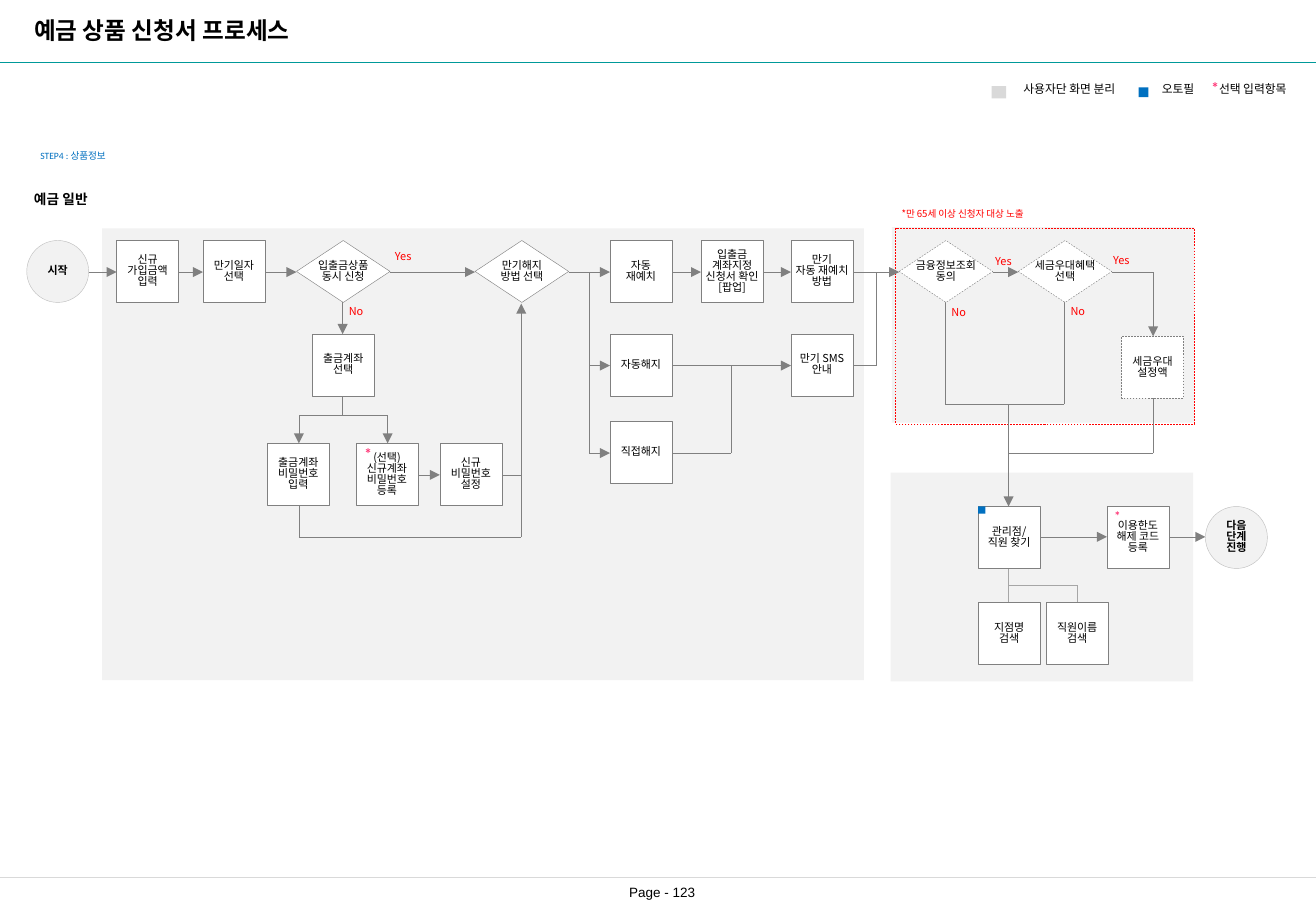
from lxml import etree
from pptx import Presentation
from pptx.dml.color import RGBColor
from pptx.enum.dml import MSO_LINE
from pptx.enum.shapes import MSO_CONNECTOR, MSO_SHAPE
from pptx.enum.text import MSO_ANCHOR, MSO_AUTO_SIZE, PP_ALIGN
from pptx.oxml.ns import qn
from pptx.util import Pt

PX = 9144
SIDE = 51
RECT = MSO_SHAPE.RECTANGLE
OVAL = MSO_SHAPE.OVAL
CHOICE = MSO_SHAPE.FLOWCHART_DECISION
DIAMOND = MSO_SHAPE.DIAMOND
DASH = MSO_LINE.DASH
STRAIGHT = MSO_CONNECTOR.STRAIGHT
LEFT, CENTER = PP_ALIGN.LEFT, PP_ALIGN.CENTER
MIDDLE = MSO_ANCHOR.MIDDLE
FIXED = MSO_AUTO_SIZE.NONE

BLACK = RGBColor(0x00, 0x00, 0x00)
WHITE = RGBColor(0xFF, 0xFF, 0xFF)
PALE = RGBColor(0xF2, 0xF2, 0xF2)
SILVER = RGBColor(0xD9, 0xD9, 0xD9)
RIM = RGBColor(0xBF, 0xBF, 0xBF)
LIGHT = RGBColor(0xA6, 0xA6, 0xA6)
GRAY = RGBColor(0x80, 0x80, 0x80)
TEAL = RGBColor(0x00, 0x99, 0x99)
BLUE = RGBColor(0x00, 0x70, 0xC0)
RED = RGBColor(0xFF, 0x00, 0x00)
PINK = RGBColor(0xFF, 0x38, 0x78)

NOTO, CALIBRI, ARIAL = "Noto Sans CJK KR", "Calibri", "Arial"


class Board:
    def __init__(self, slide):
        self.slide = slide
        self.shapes = slide.shapes

    def scale(self, *sizes):
        return [size * PX for size in sizes]

    def frame(self, shape, wrap):
        frame = shape.text_frame
        frame.auto_size = FIXED
        frame.word_wrap = wrap
        frame.vertical_anchor = MIDDLE
        frame.margin_left = frame.margin_right = 0
        frame.margin_top = frame.margin_bottom = 0
        return frame

    def run(self, para, text, size=6.5, color=BLACK, font=NOTO, bold=False):
        run = para.add_run()
        run.text = text
        run.font.size = Pt(size)
        run.font.bold = bold
        run.font.color.rgb = color
        run.font.name = font
        east = etree.SubElement(run.font._element, qn("a:ea"))
        east.set("typeface", NOTO)

    def align(self, para, side):
        para.alignment = side
        para.line_spacing = 0.84

    def title(self, x, y, w, h, text):
        shape = self.shapes.title
        shape.left, shape.top, shape.width, shape.height = self.scale(x, y, w, h)
        para = self.frame(shape, True).paragraphs[0]
        self.align(para, LEFT)
        self.run(para, text, size=14, bold=True)

    def label(self, x, y, w, h, runs, side=LEFT):
        shape = self.shapes.add_textbox(*self.scale(x, y, w, h))
        para = self.frame(shape, True).paragraphs[0]
        self.align(para, side)
        for text, style in runs:
            self.run(para, text, **style)

    def block(self, x, y, w, h, fill=None, line=None, kind=RECT, dash=None):
        shape = self.shapes.add_shape(kind, *self.scale(x, y, w, h))
        shape.shadow.inherit = False
        if fill is None:
            shape.fill.background()
        else:
            shape.fill.solid()
            shape.fill.fore_color.rgb = fill
        if line is None:
            shape.line.fill.background()
        else:
            shape.line.color.rgb = line
            shape.line.width = Pt(0.25)
            if dash:
                shape.line.dash_style = dash
        return shape

    def node(self, x, y, text, w=SIDE, fill=WHITE, line=GRAY, kind=RECT,
             dash=None, bold=False):
        shape = self.block(x, y, w, SIDE, fill, line, kind, dash)
        frame = self.frame(shape, False)
        for i, part in enumerate(text.split("\n")):
            para = frame.add_paragraph() if i else frame.paragraphs[0]
            self.align(para, CENTER)
            self.run(para, part, bold=bold)

    def route(self, points, arrow=True, color=GRAY, width=0.25):
        for start, end in zip(points, points[1:]):
            link = self.shapes.add_connector(STRAIGHT, *self.scale(*start, *end))
            link.line.color.rgb = color
            link.line.width = Pt(width)
            if arrow and end == points[-1]:
                tail = etree.SubElement(link.line._get_or_add_ln(), qn("a:tailEnd"))
                tail.set("type", "triangle")
            etree.SubElement(link._element.spPr, qn("a:effectLst"))


def main():
    deck = Presentation()
    deck.slide_width, deck.slide_height = 1083 * PX, 750 * PX
    board = Board(deck.slides.add_slide(deck.slide_layouts[5]))

    board.title(28, 10, 864, 34, "예금 상품 신청서 프로세스")
    board.route([(0, 51), (1083, 51)], False, TEAL)
    board.route([(0, 722), (1083, 722)], False, SILVER, 0.5)
    board.label(495, 728, 100, 16, [("Page - 123", dict(size=8, font=ARIAL))], CENTER)

    for area in [(84, 188, 627, 372), (734, 187, 249, 161), (733, 389, 249, 172)]:
        board.block(*area, fill=PALE)
    board.block(737, 188, 246, 161, line=RED, dash=DASH)

    rows = {
        224: [(73, 96), (147, 167), (218, 244), (321, 391), (468, 502),
              (553, 577), (628, 651), (702, 740), (817, 838)],
        301: [(553, 651)],
        391: [(344, 362)],
        442: [(856, 911), (963, 992)],
    }
    for y, spans in rows.items():
        for start, end in spans:
            board.route([(start, y), (end, y)])

    for points in [
        [(282, 249), (282, 275)],
        [(282, 342), (246, 342), (246, 365)],
        [(282, 342), (319, 342), (319, 365)],
        [(246, 416), (246, 442), (429, 442), (429, 250)],
        [(485, 224), (485, 301), (502, 301)],
        [(485, 301), (485, 373), (502, 373)],
        [(915, 224), (949, 224), (949, 277)],
        [(778, 249), (778, 333), (830, 333), (830, 417)],
    ]:
        board.route(points)
    for points in [
        [(282, 326), (282, 342)],
        [(413, 391), (429, 391)],
        [(553, 373), (602, 373), (602, 301)],
        [(702, 301), (721, 301), (721, 224)],
        [(876, 249), (876, 333), (830, 333)],
        [(949, 328), (949, 373), (830, 373)],
    ]:
        board.route(points, False)
    for points in [[(830, 468), (830, 496)], [(830, 482), (887, 482), (887, 496)]]:
        board.route(points, False, LIGHT, 0.5)

    for x, y, text in [
        (96, 198, "신규\n가입금액\n입력"),
        (167, 198, "만기일자\n선택"),
        (502, 198, "자동\n재예치"),
        (577, 198, "입출금\n계좌지정\n신청서 확인\n[팝업]"),
        (651, 198, "만기\n자동 재예치\n방법"),
        (257, 275, "출금계좌\n선택"),
        (502, 275, "자동해지"),
        (651, 275, "만기 SMS\n안내"),
        (502, 347, "직접해지"),
        (220, 365, "출금계좌\n비밀번호\n입력"),
        (293, 365, "(선택)\n신규계좌\n비밀번호\n등록"),
        (362, 365, "신규\n비밀번호\n설정"),
        (805, 417, "관리점/\n직원 찾기"),
        (911, 417, "이용한도\n해제 코드\n등록"),
        (805, 496, "지점명\n검색"),
        (861, 496, "직원이름\n검색"),
    ]:
        board.node(x, y, text)
    board.node(923, 277, "세금우대\n설정액", dash=DASH)
    for x, text, kind, dash in [
        (244, "입출금상품\n동시 신청", CHOICE, None),
        (391, "만기해지\n방법 선택", DIAMOND, None),
        (740, "금융정보조회\n동의", CHOICE, DASH),
        (838, "세금우대혜택\n선택", CHOICE, DASH),
    ]:
        board.node(x, 198, text, w=77, kind=kind, dash=dash)
    for x, y, text in [(22, 198, "시작"), (992, 417, "다음\n단계\n진행")]:
        board.node(x, y, text, fill=PALE, line=RIM, kind=OVAL, bold=True)
    board.block(805, 417, 6, 6, BLUE)

    for x, y, text in [
        (325, 206, "Yes"), (819, 210, "Yes"), (916, 209, "Yes"),
        (287, 251, "No"), (783, 252, "No"), (881, 251, "No"),
    ]:
        board.label(x, y, 25, 12, [(text, dict(color=RED))])

    star = dict(size=9, color=PINK, font=CALIBRI, bold=True)
    key = dict(size=7, font=CALIBRI)
    board.label(300, 367, 10, 15, [("*", star)])
    board.label(917, 419, 10, 12, [("*", {**star, "size": 7.3})])
    board.label(19, 123, 82, 12,
                [("STEP4 : 상품정보", dict(size=5.7, color=BLUE, font=CALIBRI))], CENTER)
    board.label(28, 158, 80, 14,
                [("예금 일반", dict(size=8.1, font=CALIBRI, bold=True))])
    board.label(742, 171, 180, 12,
                [("*만 65세 이상 신청자 대상 노출", dict(size=5.7, color=RED))])

    board.block(816, 71, 12, 10, SILVER)
    board.label(826, 67, 108, 14, [("사용자단 화면 분리", key)], CENTER)
    board.block(937, 72, 8, 8, BLUE)
    board.label(937, 67, 65, 14, [("오토필", key)], CENTER)
    board.label(997, 66, 84, 15, [("*", star), ("선택 입력항목", key)])

    deck.save("out.pptx")


if __name__ == "__main__":
    main()
